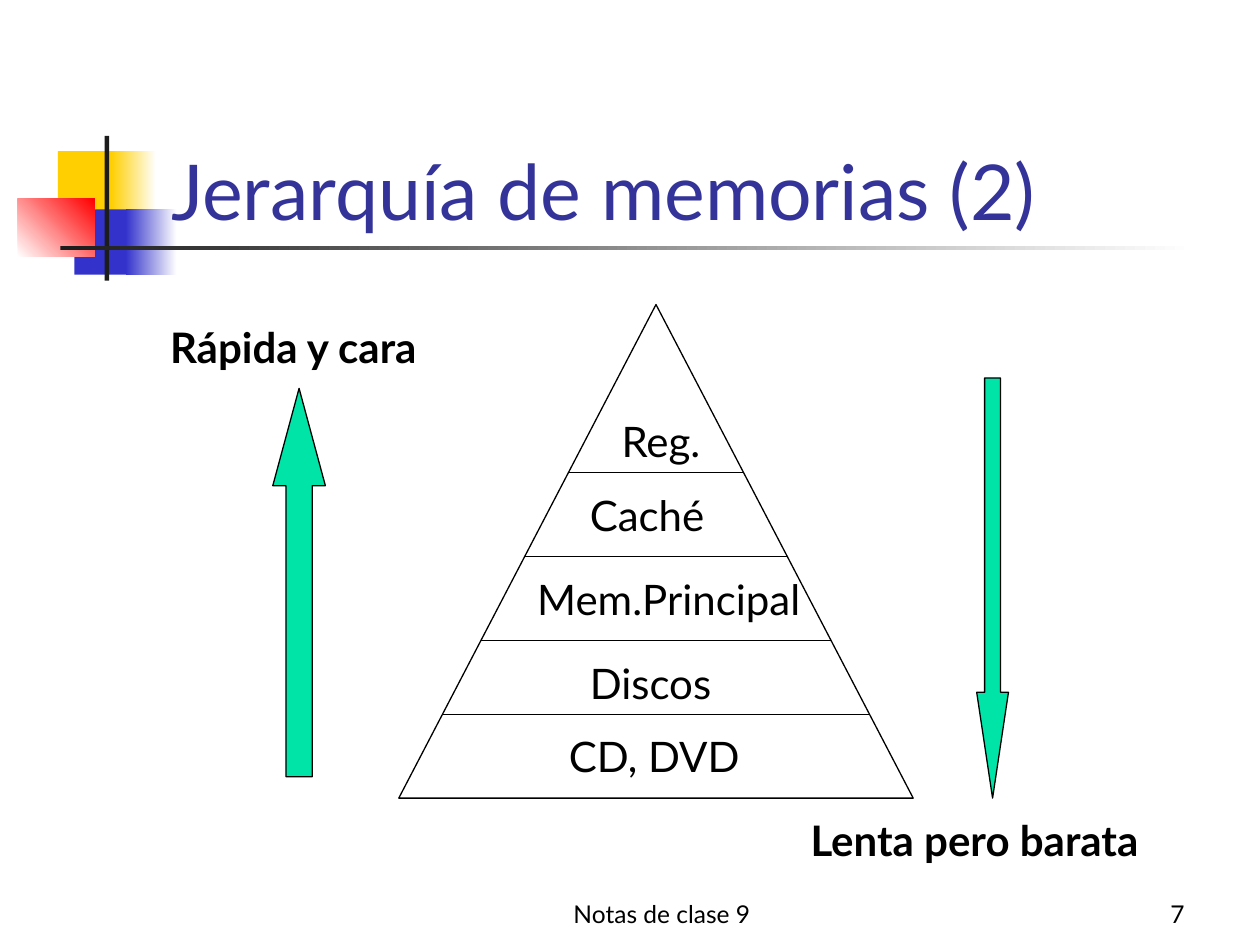
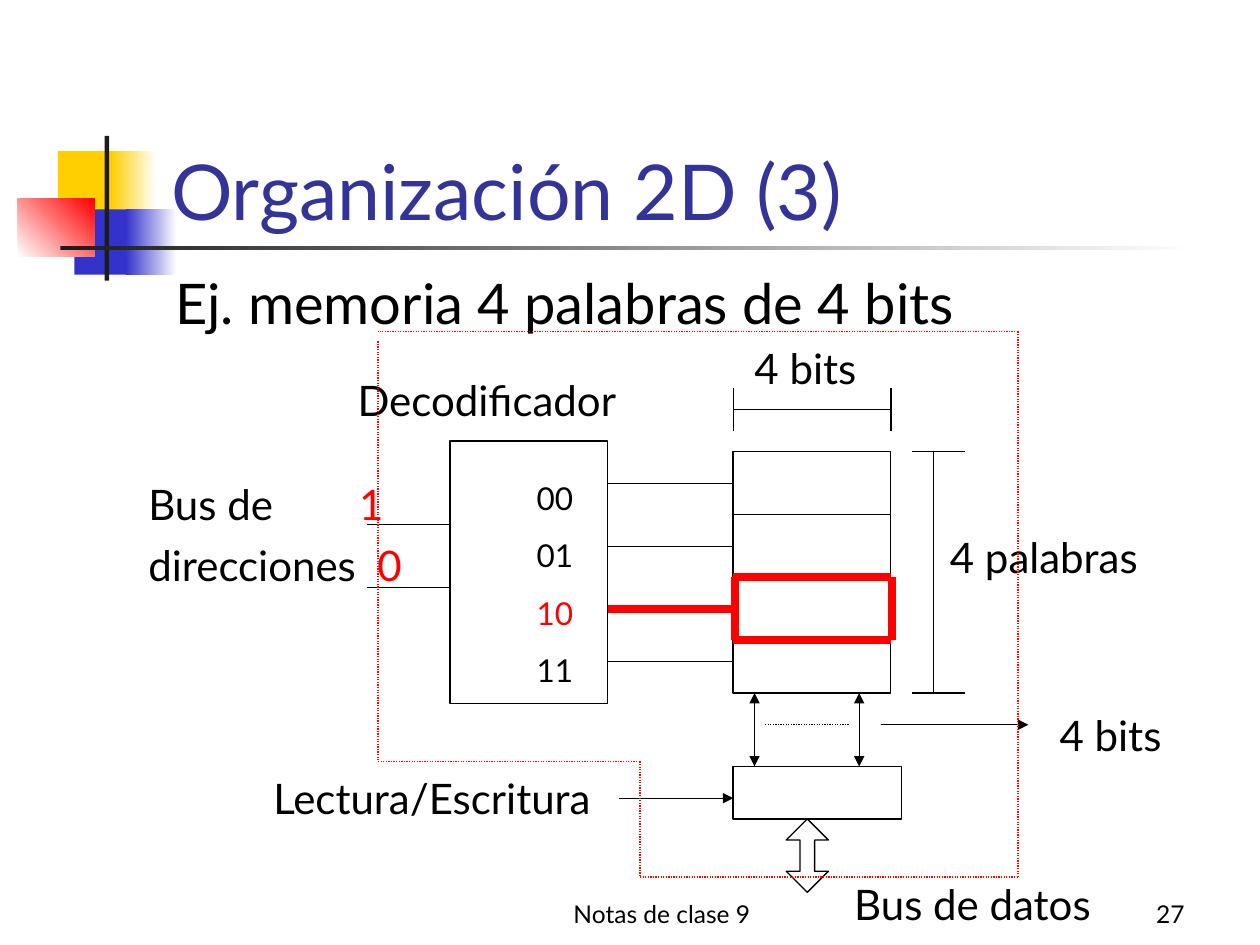
"""Build two class slides: the memory hierarchy and the 2D memory organisation."""
from itertools import pairwise

from lxml import etree
from pptx import Presentation
from pptx import util as u
from pptx.dml.color import RGBColor
from pptx.enum import dml, shapes, text
from pptx.oxml.ns import qn

FONT = "Lato"
BLACK, WHITE, RED = "000000", "FFFFFF", "FF0000"
YELLOW, BLUE, DARK = "FFCF01", "3333CC", "1C1C1C"
TITLE, GREEN = "333399", "00E4A8"
THIN, THICK = 0.75, 4.5
SHAPE, ALIGN, ANCHOR = shapes.MSO_SHAPE, text.PP_ALIGN, text.MSO_ANCHOR


def rgb(code):
    """Return the colour for a hex string."""
    return RGBColor.from_string(code)


def cm(*values):
    """Return the values as centimetre lengths."""
    return [u.Cm(v) for v in values]


def put(obj, values):
    """Set each attribute named in a dict."""
    for name, value in values.items():
        setattr(obj, name, value)


def add_shape(s, kind, at, fill=WHITE, line=None, adj=()):
    """Add a preset shape; a tuple (from, to, angle) as fill gives a gradient."""
    sp = s.shapes.add_shape(kind, *cm(*at))
    sp.shadow.inherit = False
    for i, value in enumerate(adj):
        sp.adjustments[i] = value
    if isinstance(fill, tuple):
        *stops, angle = fill
        sp.fill.gradient()
        sp.fill.gradient_angle = angle
        for stop, code in zip(sp.fill.gradient_stops, stops):
            stop.color.rgb = rgb(code)
    else:
        sp.fill.solid()
        sp.fill.fore_color.rgb = rgb(fill)
    if line:
        sp.line.color.rgb = rgb(line)
        sp.line.width = u.Pt(THIN)
    else:
        sp.line.fill.background()
    return sp


def add_line(s, x1, y1, x2, y2, color=BLACK, width=THIN, dash=False, ends=()):
    """Add a straight line, with triangles at the named ends."""
    c = s.shapes.add_connector(shapes.MSO_CONNECTOR.STRAIGHT, *cm(x1, y1, x2, y2))
    c.line.color.rgb = rgb(color)
    c.line.width = u.Pt(width)
    if dash:
        c.line.dash_style = dml.MSO_LINE.ROUND_DOT
    ln = c.line._get_or_add_ln()
    for end in ends:
        etree.SubElement(ln, qn(f"a:{end}"), type="triangle")
    etree.SubElement(c._element.spPr, qn("a:effectLst"))
    return c


def add_text(s, at, paras, size=24, color=BLACK, bold=False,
             anchor=ANCHOR.TOP, fmt=None):
    """Add a text box; each paragraph is a string or a list of (text, colour)."""
    sp = s.shapes.add_textbox(*cm(*at))
    tf = sp.text_frame
    put(tf, {"word_wrap": True, "vertical_anchor": anchor})
    for i, runs in enumerate([paras] if isinstance(paras, str) else paras):
        p = tf.paragraphs[0] if i == 0 else tf.add_paragraph()
        put(p, fmt or {})
        for content, code in [(runs, color)] if isinstance(runs, str) else runs:
            r = p.add_run()
            r.text = content
            put(r.font, {"name": FONT, "size": u.Pt(size), "bold": bold})
            r.font.color.rgb = rgb(code)
    return sp


def add_tab(p, pos):
    """Give a paragraph one left tab stop."""
    tabs = etree.SubElement(p._p.get_or_add_pPr(), qn("a:tabLst"))
    etree.SubElement(tabs, qn("a:tab"), pos=str(int(u.Cm(pos))), algn="l")


def add_frame(prs, title, number):
    """Add a slide with its emblem, title, footer and number."""
    s = prs.slides.add_slide(prs.slide_layouts[6])
    for at, fill in (
        ((1.17, 3.05, 1.22, 1.32), YELLOW),
        ((2.24, 3.05, 0.91, 1.32), (YELLOW, WHITE, 0)),
        ((1.5, 4.22, 1.17, 1.32), BLUE),
        ((2.54, 4.22, 1.02, 1.32), (BLUE, WHITE, 0)),
        ((0.36, 4.01, 1.55, 1.17), (WHITE, RED, 45)),
        ((2.11, 2.74, 0.09, 2.92), DARK),
        ((1.22, 4.95, 22.86, 0.09), (DARK, WHITE, 0)),
    ):
        add_shape(s, SHAPE.RECTANGLE, at, fill)
    for x, w, content, align in ((9.32, 8.05, "Notas de clase 9", ALIGN.CENTER),
                                 (18.85, 5.28, str(number), ALIGN.RIGHT)):
        add_text(s, (x, 17.58, w, 1.27), content, 14, anchor=ANCHOR.BOTTOM,
                 fmt={"alignment": align})
    add_text(s, (3.2, 1.7, 21.64, 3.18), title, 44, TITLE, anchor=ANCHOR.BOTTOM)
    return s


def add_pyramid(s):
    """Draw the memory pyramid with its levels."""
    left, top, w, h = 8.04, 6.14, 10.37, 9.95
    add_shape(s, SHAPE.ISOSCELES_TRIANGLE, (left, top, w, h), line=BLACK)
    middle = left + w / 2
    for y in (9.53, 11.22, 12.91, 14.4):
        half = (y - top) / h * w / 2
        add_line(s, middle - half, y, middle + half, y)
    for level, x, y, width in (
        ("Reg.", 12.28, 8.25, 2.54),
        ("Caché", 11.64, 9.74, 2.97),
        ("Mem.Principal", 10.58, 11.43, 6.15),
        ("Discos", 11.64, 13.12, 3.18),
        ("CD, DVD", 11.22, 14.61, 5.08),
    ):
        add_text(s, (x, y, width, 1.27), level)


def add_hierarchy(prs):
    """Add the slide on the memory hierarchy."""
    s = add_frame(prs, "Jerarquía de memorias (2)", 7)
    add_pyramid(s)
    add_shape(s, SHAPE.UP_ARROW, (5.5, 7.83, 1.06, 7.83), GREEN, BLACK, (0.5, 1.85))
    add_shape(s, SHAPE.DOWN_ARROW, (19.69, 7.62, 0.64, 8.47), GREEN, BLACK, (0.5, 3.33))
    add_text(s, (3.18, 6.35, 6.35, 1.27), "Rápida y cara", bold=True)
    add_text(s, (16.09, 16.3, 8.26, 1.27), "Lenta pero barata", bold=True)


def add_memory(s):
    """Draw the decoder, the words, the data register and their lines."""
    decoder, left, right = 9.07, 14.78, 17.96
    top, bottom, register = 9.1, 13.97, 15.45
    chosen, chosen_end = 11.64, 12.91
    for at in ((decoder, 8.89, 3.18, 5.29),
               (left, top, right - left, bottom - top),
               (left, register, 3.39, 1.06)):
        add_shape(s, SHAPE.RECTANGLE, at, line=BLACK)
    add_line(s, left, 10.37, right, 10.37)
    for y in (9.74, 11.01, 13.34):
        add_line(s, decoder + 3.18, y, left, y)
    add_line(s, decoder + 3.18, 12.28, left, 12.28, RED, THICK)
    for y in (chosen, chosen_end):
        add_line(s, left, y, right, y, RED, THICK)
    for x in (left, right):
        add_line(s, x + 0.03, chosen, x + 0.03, chosen_end, RED, THICK)
        add_line(s, x, 7.83, x, 8.68)
    add_line(s, left, 8.26, right, 8.26)
    for y in (top, bottom):
        add_line(s, 18.39, y, 19.46, y)
    add_line(s, 18.82, top, 18.82, bottom)
    for y in (10.58, 11.85):
        add_line(s, 7.39, y, decoder, y)
    for x in (15.21, 17.32):
        add_line(s, x, bottom, x, register, ends=("headEnd", "tailEnd"))
    add_line(s, 15.42, 14.61, 17.12, 14.61, dash=True)
    add_line(s, 17.75, 14.61, 20.73, 14.61, ends=("tailEnd",))
    add_line(s, 12.47, 16.09, left, 16.09, ends=("tailEnd",))
    add_shape(s, SHAPE.UP_DOWN_ARROW, (15.85, 16.51, 0.85, 1.48), line=BLACK,
              adj=(0.5, 0.35))


def add_chip_border(s):
    """Draw the dotted red border of the memory chip."""
    corners = ((7.62, 6.88), (7.62, 15.35), (12.9, 15.35), (12.9, 17.68),
               (20.52, 17.68), (20.52, 6.68), (7.62, 6.68))
    for start, end in pairwise(corners):
        add_line(s, *start, *end, RED, dash=True)


def add_organisation(prs):
    """Add the slide on the 2D organisation."""
    s = add_frame(prs, "Organización 2D (3)", 27)
    add_text(s, (3.28, 5.28, 21.59, 2.97), "Ej. memoria 4 palabras de 4 bits", 32)
    add_memory(s)
    for label, x, y, w in (
        ("4 palabras", 18.9, 10.59, 4.65),
        ("4 bits", 14.96, 6.78, 2.67),
        ("4 bits", 21.11, 14.17, 2.67),
        ("Bus de datos", 16.97, 17.58, 5.64),
        ("Lectura/Escritura", 5.26, 15.44, 7.29),
        ("Decodificador", 6.96, 7.42, 6.02),
    ):
        add_text(s, (x, y, w, 1.27), label)
    add_text(s, (10.57, 9.53, 1.45, 4.5), ["00", "01", [("10", RED)], "11"], 18,
             fmt={"space_before": u.Pt(11.2)})
    bus = add_text(s, (2.74, 9.32, 6.38, 2.69),
                   [[("Bus de\t", BLACK), ("1", RED)],
                    [("direcciones\t", BLACK), ("0", RED)]],
                   fmt={"line_spacing": 1.2})
    for p, pos in zip(bus.text_frame.paragraphs, (4.25, 4.62)):
        add_tab(p, pos)
    add_chip_border(s)


def main():
    """Build and save the slides."""
    prs = Presentation()
    put(prs, {"slide_width": u.Cm(25.4), "slide_height": u.Cm(19.05)})
    add_hierarchy(prs)
    add_organisation(prs)
    prs.save("out.pptx")


if __name__ == "__main__":
    main()
